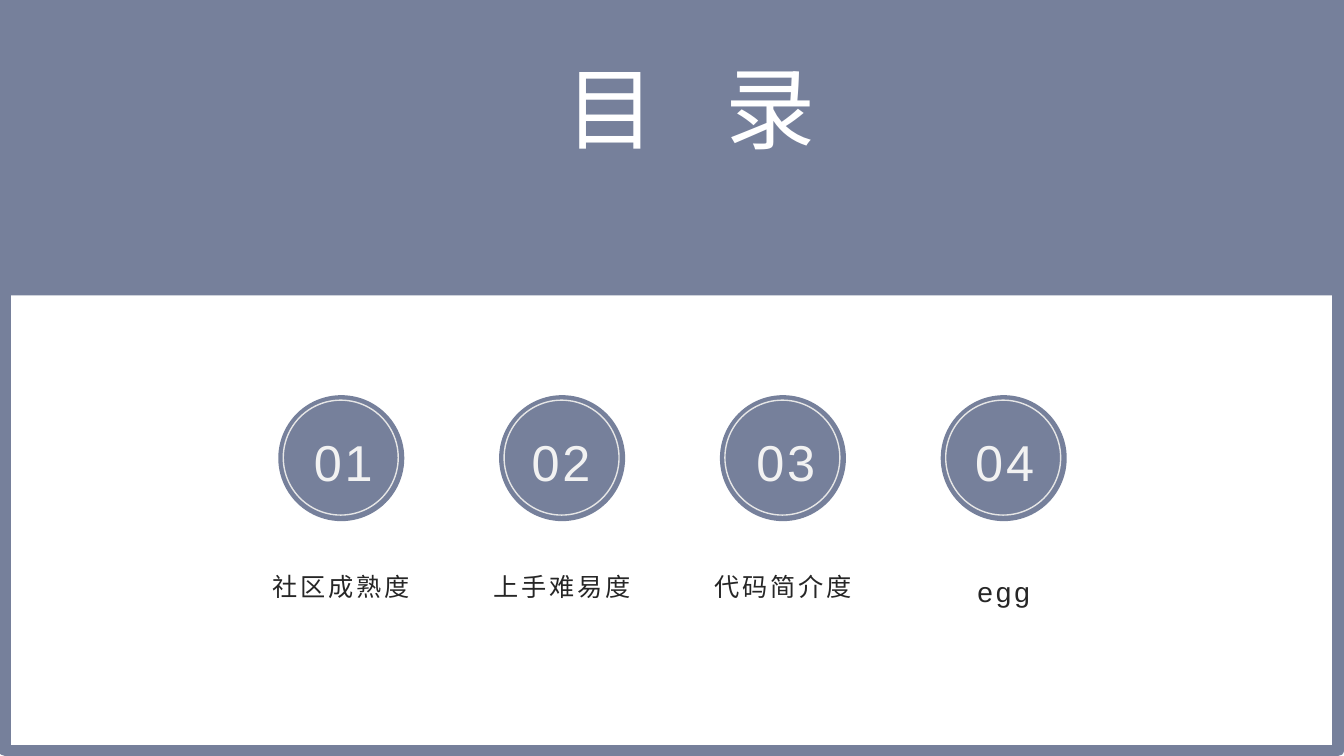
from pptx import Presentation
from pptx.dml.color import RGBColor
from pptx.enum.shapes import MSO_SHAPE
from pptx.enum.text import MSO_ANCHOR, MSO_AUTO_SIZE, PP_ALIGN
from pptx.util import Inches, Pt

SLATE = RGBColor(0x76, 0x80, 0x9B)
WHITE = RGBColor(0xFF, 0xFF, 0xFF)
PALE = RGBColor(0xF2, 0xF2, 0xF2)
RING = RGBColor(0xE6, 0xE6, 0xE6)
DARK = RGBColor(0x26, 0x26, 0x26)

deck = Presentation()
deck.slide_width, deck.slide_height = Inches(13.33), Inches(7.5)
slide = deck.slides.add_slide(deck.slide_layouts[5])
shapes = slide.shapes


def draw(kind, left, top, width, height, fill=None, line=None, weight=1):
    shape = shapes.add_shape(kind, Inches(left), Inches(top), Inches(width), Inches(height))
    shape.shadow.inherit = False
    if fill is None:
        shape.fill.background()
    else:
        shape.fill.solid()
        shape.fill.fore_color.rgb = fill
    if line is None:
        shape.line.fill.background()
    else:
        shape.line.color.rgb = line
        shape.line.width = Pt(weight)


def write(box, text, size, color, gap, anchor):
    frame = box.text_frame
    frame.text = text
    frame.word_wrap = True
    frame.auto_size = MSO_AUTO_SIZE.NONE
    frame.vertical_anchor = anchor
    line = frame.paragraphs[0]
    line.alignment = PP_ALIGN.CENTER
    run = line.runs[0]
    run.font.name = "Arial"
    run.font.size = Pt(size)
    run.font.color.rgb = color
    # Letter spacing in hundredths of a point
    run._r.get_or_add_rPr().set("spc", str(gap * 100))


# Frame and top band
draw(MSO_SHAPE.RECTANGLE, 0.05, 0.05, 13.22, 7.4, line=SLATE, weight=8)
draw(MSO_SHAPE.RECTANGLE, 0, 0, 13.33, 2.93, fill=SLATE)

# Title, brought in front of the band
title = shapes.title
title.left, title.top = Inches(5.22), Inches(0.68)
title.width, title.height = Inches(3.26), Inches(1.21)
write(title, "目 录", 64.3, WHITE, 18, MSO_ANCHOR.TOP)
title.text_frame.paragraphs[0].line_spacing = 0.8
shapes._spTree.append(title._element)

# Agenda items: label, label size, anchor, left of the number
items = [
    ("社区成熟度", 18, MSO_ANCHOR.TOP, 2.94),
    ("上手难易度", 18, MSO_ANCHOR.TOP, 5.1),
    ("代码简介度", 18, MSO_ANCHOR.TOP, 7.33),
    ("egg", 20, MSO_ANCHOR.MIDDLE, 9.5),
]
PITCH = 2.19
for i, (label, size, anchor, left) in enumerate(items):
    shift = i * PITCH
    draw(MSO_SHAPE.OVAL, 2.76 + shift, 3.92, 1.25, 1.25, fill=SLATE)
    draw(MSO_SHAPE.OVAL, 2.81 + shift, 3.97, 1.14, 1.14, line=RING)
    box = shapes.add_textbox(Inches(left), Inches(4.22), Inches(0.93), Inches(0.71))
    write(box, f"{i + 1:02}", 36, PALE, 2, MSO_ANCHOR.MIDDLE)
    box = shapes.add_textbox(Inches(2.53 + shift), Inches(5.62), Inches(1.71), Inches(0.5))
    write(box, label, size, DARK, 2, anchor)

deck.save("out.pptx")
